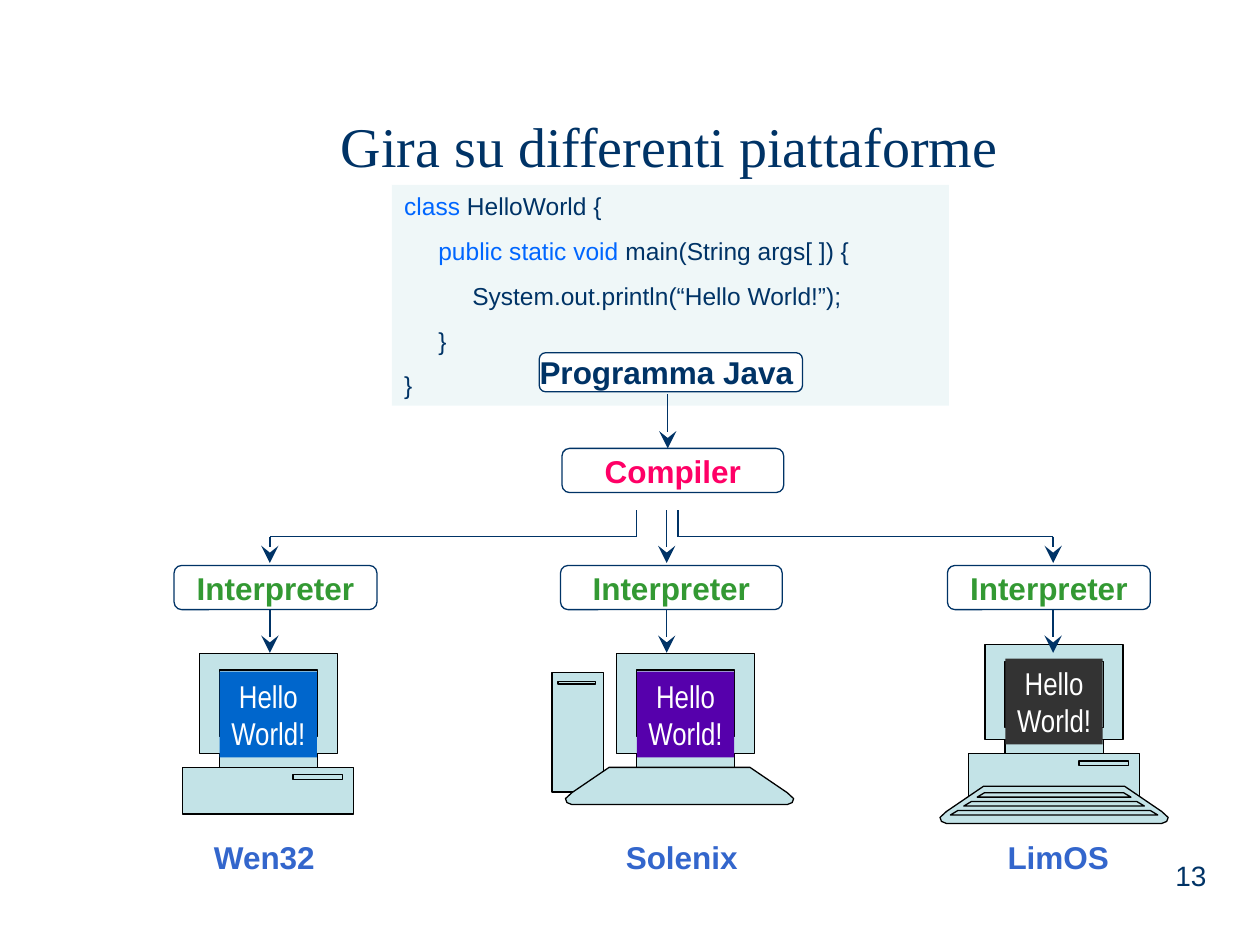
"""Build a slide showing one Java program running on three platforms."""
from collections import namedtuple

from lxml.etree import SubElement
from pptx import Presentation
from pptx.dml.color import RGBColor
from pptx.enum.shapes import MSO_CONNECTOR as Link, MSO_SHAPE as Shape
from pptx.enum.text import MSO_ANCHOR as Anchor, PP_ALIGN as Align
from pptx.oxml.ns import qn
from pptx.util import Cm, Pt

NAVY, BLUE, GREEN, PINK = "003366", "0066FF", "339933", "FF0066"
PALE, WHITE, BLACK, LABEL = "C3E3E7", "FFFFFF", "000000", "3366CC"

CODE = [
    [("class", BLUE), (" HelloWorld {", NAVY)],
    [("     ", NAVY), ("public static void", BLUE), (" main(String args[ ]) {", NAVY)],
    [("          System.out.println(“Hello World!”);", NAVY)],
    [("     }", NAVY)],
    [("}", NAVY)],
]

Platform = namedtuple(
    "Platform", "name kind centre top base_top screen screen_top box label arrow branch")
PLATFORMS = [
    Platform("Solenix", "tower", 13.82, 13.18, 15.47, "5600AC", 13.54,
             (11.3, 4.47), (11.51, 4.47), 13.44, 13.44),
    Platform("Wen32", "desktop", 5.41, 13.18, 15.47, "0066CC", 13.54,
             (3.51, 4.09), (3.68, 3.3), 5.44, 12.83),
    Platform("LimOS", "workstation", 21.25, 13, 15.19, "333333", 13.28,
             (19.1, 4.09), (19.1, 4.47), 21.23, 13.67),
]
BRANCH_TOP, BRANCH_TURN, BRANCH_END = 10.29, 10.82, 11.35
KEYBOARD = [(1.42, 0), (2.17, 0.51), (2.3, 0.63), (2.27, 0.71), (2.17, 0.75)]


def color(value):
    return RGBColor.from_string(value)


def paint(shape, fill, line=None):
    shape.shadow.inherit = False
    shape.fill.solid()
    shape.fill.fore_color.rgb = color(fill)
    if line:
        shape.line.color.rgb = color(line)
        shape.line.width = Pt(0.75)
    else:
        shape.line.fill.background()
    return shape


def add_box(page, kind, left, top, width, height, fill, line=None):
    box = page.shapes.add_shape(kind, Cm(left), Cm(top), Cm(width), Cm(height))
    return paint(box, fill, line)


def add_text(page, left, top, width, height):
    return page.shapes.add_textbox(Cm(left), Cm(top), Cm(width), Cm(height))


def write(box, text, size, ink, font="Arial", bold=False, align=Align.CENTER,
          anchor=Anchor.TOP, wrap=True):
    frame = box.text_frame
    frame.word_wrap = wrap
    frame.vertical_anchor = anchor
    para = frame.paragraphs[0]
    para.text = text
    para.alignment = align
    para.font.name, para.font.size, para.font.bold = font, Pt(size), bold
    para.font.color.rgb = color(ink)
    return para


def add_step(page, text, ink, left, top, width, height):
    box = add_box(page, Shape.ROUNDED_RECTANGLE, left, top, width, height, WHITE, NAVY)
    box.adjustments[0] = 0.17
    write(box, text, 18, ink, bold=True, anchor=Anchor.MIDDLE, wrap=False)


def add_line(page, start, end, arrow=False):
    line = page.shapes.add_connector(Link.STRAIGHT, *map(Cm, start + end))
    line.line.color.rgb = color(NAVY)
    line.line.width = Pt(0.75)
    if arrow:
        SubElement(line.line._get_or_add_ln(), qn("a:tailEnd"),
                   type="stealth", w="lg", len="lg")
    SubElement(line._element.spPr, qn("a:effectLst"))


def add_outline(page, centre, top, right_side):
    right = [(centre + half, top + drop) for half, drop in right_side]
    left = [(centre - half, top + drop) for half, drop in reversed(right_side)]
    points = [(Cm(x), Cm(y)) for x, y in right + left]
    builder = page.shapes.build_freeform(*points[0])
    builder.add_line_segments(points[1:], close=True)
    paint(builder.convert_to_shape(), PALE, BLACK)


def add_part(page, left, top, width, height):
    add_box(page, Shape.RECTANGLE, left, top, width, height, PALE, BLACK)


def add_case(page, centre, top, height):
    add_part(page, centre - 1.73, top, 3.45, height)
    add_part(page, centre + 0.5, top + 0.15, 1, 0.1)


def add_computer(page, platform):
    centre, top, base_top = platform.centre, platform.top, platform.base_top
    neck_top = base_top - 0.28
    if platform.kind == "tower":
        add_part(page, 11.13, 13.56, 1.04, 2.41)
        add_part(page, 11.25, 13.74, 0.76, 0.05)
    add_part(page, centre - 1.39, top, 2.78, neck_top - top)
    add_part(page, centre - 0.99, top + 0.33, 1.98, 1.34)
    add_part(page, centre - 0.99, neck_top, 1.98, 0.28)
    if platform.kind == "tower":
        add_outline(page, centre - 0.12, base_top, KEYBOARD)
    else:
        add_case(page, centre, base_top, 0.94)
    if platform.kind == "workstation":
        add_outline(page, centre, 15.85, KEYBOARD)
        for row in range(3):
            half = 1.4 + 0.27 * row
            add_outline(page, centre, 15.98 + 0.18 * row, [(half, 0), (half + 0.15, 0.09)])
    screen = add_box(page, Shape.RECTANGLE, centre - 0.98, platform.screen_top,
                     1.96, 1.73, platform.screen)
    write(screen, "Hello World!", 18, WHITE, "Arial Narrow")
    frame = screen.text_frame
    frame.margin_left = frame.margin_right = Cm(0)
    frame.margin_top = frame.margin_bottom = Cm(0.1)


def add_platform(page, platform):
    add_computer(page, platform)
    left, width = platform.label
    write(add_text(page, left, 16.76, width, 1.02), platform.name, 18, LABEL, bold=True)
    arrow, branch = platform.arrow, platform.branch
    add_line(page, (arrow, 12.24), (arrow, 13.16), arrow=True)
    left, width = platform.box
    add_step(page, "Interpreter", GREEN, left, 11.4, width, 0.89)
    if arrow == branch:
        add_line(page, (arrow, BRANCH_TOP), (arrow, BRANCH_END), arrow=True)
    else:
        add_line(page, (arrow, BRANCH_TURN), (arrow, BRANCH_END), arrow=True)
        add_line(page, (arrow, BRANCH_TURN), (branch, BRANCH_TURN))
        add_line(page, (branch, BRANCH_TOP), (branch, BRANCH_TURN))


def add_code(page):
    box = add_box(page, Shape.RECTANGLE, 7.9, 3.73, 11.23, 4.45, PALE)
    fill = box.fill._xPr.find(qn("a:solidFill"))
    SubElement(fill[0], qn("a:alpha"), val="25000")
    frame = box.text_frame
    frame.word_wrap = True
    frame.vertical_anchor = Anchor.TOP
    for number, parts in enumerate(CODE):
        para = frame.add_paragraph() if number else frame.paragraphs[0]
        para.alignment = Align.LEFT
        para.space_before = Pt(8.8 if number else 0)
        para.font.name, para.font.size = "Arial", Pt(14)
        for text, ink in parts:
            span = para.add_run()
            span.text = text
            span.font.color.rgb = color(ink)


def main():
    deck = Presentation()
    deck.slide_width, deck.slide_height = Cm(25.4), Cm(19.05)
    page = deck.slides.add_slide(deck.slide_layouts[6])
    title = write(add_text(page, 5.31, 1.93, 16.38, 2.21), "Gira su differenti piattaforme",
                  32, NAVY, "Times New Roman", anchor=Anchor.MIDDLE)
    title.line_spacing = 0.85
    add_code(page)
    add_step(page, "Programma Java ", NAVY, 10.87, 7.11, 5.31, 0.79)
    add_step(page, "Compiler", PINK, 11.33, 9.04, 4.47, 0.89)
    add_line(page, (13.46, 7.95), (13.46, 9.04), arrow=True)
    for platform in PLATFORMS:
        add_platform(page, platform)
    write(add_text(page, 18.47, 16.84, 6.1, 1.27), "13", 16, NAVY,
          align=Align.RIGHT, anchor=Anchor.BOTTOM)
    deck.save("out.pptx")


if __name__ == "__main__":
    main()
